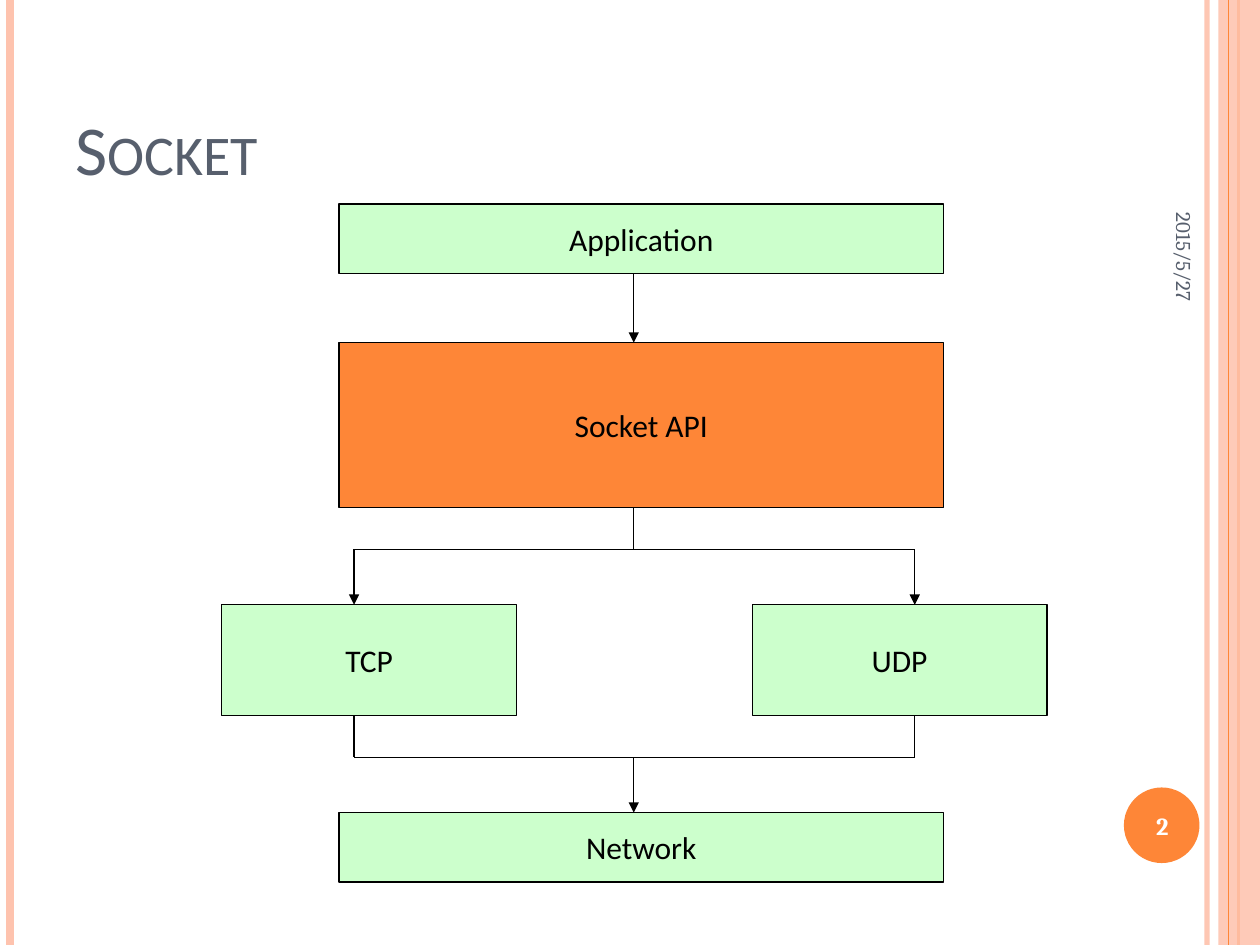
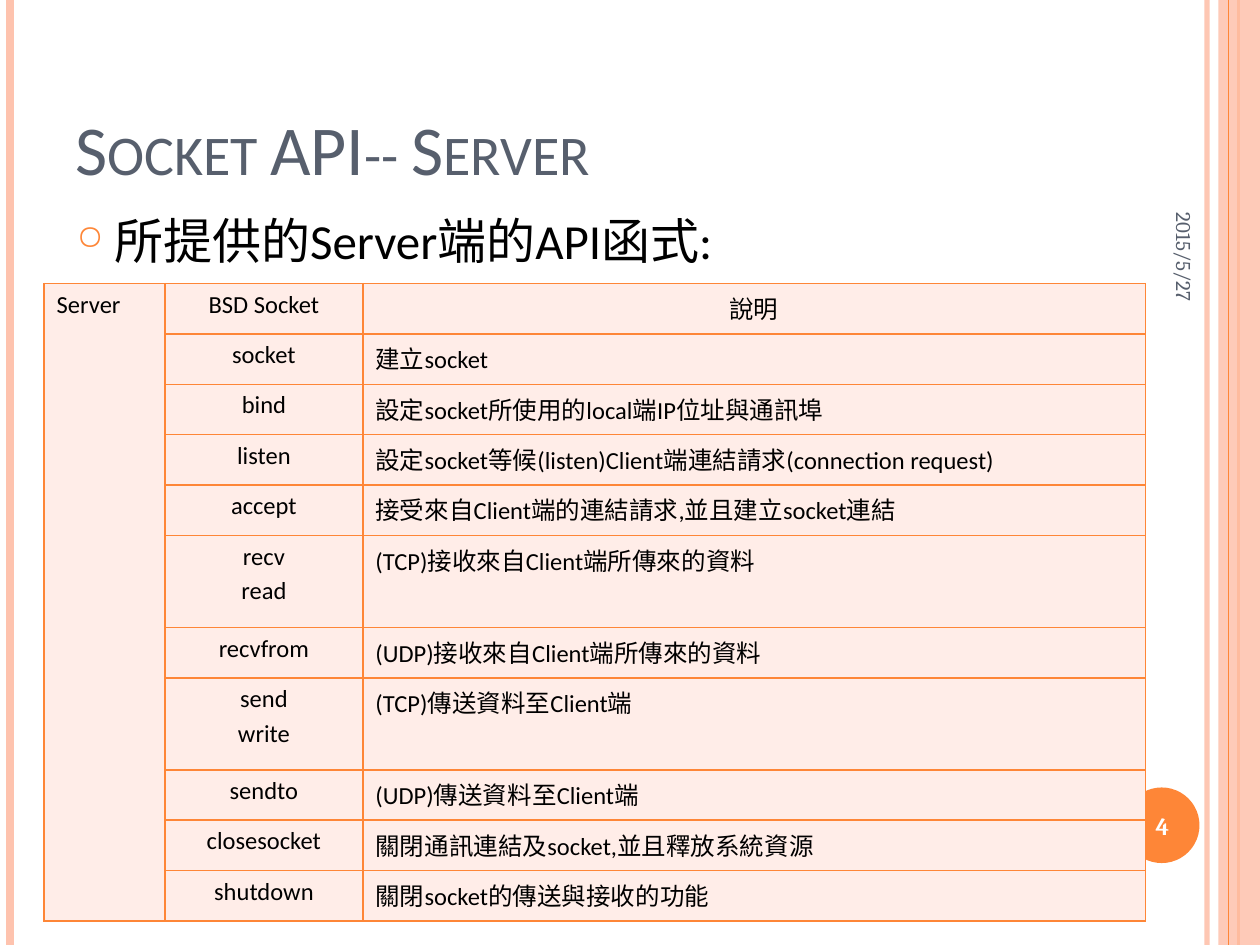
from lxml import etree
from pptx import Presentation
from pptx.dml.color import RGBColor
from pptx.enum.shapes import MSO_CONNECTOR, MSO_SHAPE
from pptx.enum.text import MSO_ANCHOR, PP_ALIGN
from pptx.oxml.ns import qn
from pptx.util import Inches, Pt

WHITE = RGBColor(0xFF, 0xFF, 0xFF)
BLACK = RGBColor(0x00, 0x00, 0x00)
ORANGE = RGBColor(0xFE, 0x86, 0x37)
PEACH = RGBColor(0xFE, 0xC3, 0xAE)
PALE_PEACH = RGBColor(0xFF, 0xED, 0xE8)
GREEN = RGBColor(0xCC, 0xFF, 0xCC)
SLATE = RGBColor(0x57, 0x5F, 0x6D)
BODY_FONT, FOOTER_FONT = "Calibri", "Cambria"
RECT, OVAL = MSO_SHAPE.RECTANGLE, MSO_SHAPE.OVAL
STRAIGHT = MSO_CONNECTOR.STRAIGHT
LEFT, CENTER, RIGHT = PP_ALIGN.LEFT, PP_ALIGN.CENTER, PP_ALIGN.RIGHT
TOP, MIDDLE, BOTTOM = MSO_ANCHOR.TOP, MSO_ANCHOR.MIDDLE, MSO_ANCHOR.BOTTOM
WIDTH, HEIGHT = 10, 7.5
DATE = "2015/5/27"


def child(parent, tag, **attrs):
    """Append a DrawingML element and return it."""
    return etree.SubElement(parent, qn(tag), attrs)


def set_opacity(sp, percent):
    """Make the first solid colour of a shape or line translucent."""
    color = next(sp.element.spPr.iter(qn("a:srgbClr")))
    child(color, "a:alpha", val=str(percent * 1000))


class Deck:
    """The presentation style and the slide being built."""

    def __init__(self):
        """Start an empty 4:3 presentation."""
        self.prs = Presentation()
        self.prs.slide_width = Inches(WIDTH)
        self.prs.slide_height = Inches(HEIGHT)
        self.s = None

    def add_slide(self, title):
        """Start a slide with the side bands, number disc and title."""
        self.s = self.prs.slides.add_slide(self.prs.slide_layouts[6])
        inner = self.vertical_band(9.58, PEACH, 3)
        set_opacity(inner, 93)
        self.vertical_band(0.08, PEACH, 4.5)
        self.vertical_band(9.83, ORANGE, 1.5)
        band = self.shape(RECT, 9.67, 0, 0.33, HEIGHT, PEACH)
        set_opacity(band, 87)
        self.vertical_band(9.75, ORANGE, 0.75)
        self.shape(OVAL, 8.92, 6.25, 0.6, 0.6, ORANGE)
        sp = self.text(title, 0.5, 0.3, 8.17, 1.25, 40, SLATE, BOTTOM)
        r = sp.text_frame.paragraphs[0].runs[0]
        r._r.get_or_add_rPr().set("cap", "small")

    def vertical_band(self, x, color, weight):
        """Draw a full-height line."""
        return self.line(x, 0, x, HEIGHT, color, weight)

    def line(self, x1, y1, x2, y2, color=BLACK, weight=0.75, arrow=False):
        """Draw a straight line, with an arrowhead at its end if wanted."""
        ends = [Inches(v) for v in (x1, y1, x2, y2)]
        c = self.s.shapes.add_connector(STRAIGHT, *ends)
        c.line.color.rgb = color
        c.line.width = Pt(weight)
        spPr = c.element.spPr
        if arrow:
            child(spPr.find(qn("a:ln")), "a:tailEnd", type="triangle")
        child(spPr, "a:effectLst")
        return c

    def shape(self, kind, x, y, w, h, fill):
        """Draw a plain filled shape without outline."""
        box = [Inches(v) for v in (x, y, w, h)]
        sp = self.s.shapes.add_shape(kind, *box)
        sp.shadow.inherit = False
        sp.fill.solid()
        sp.fill.fore_color.rgb = fill
        sp.line.fill.background()
        return sp

    def node(self, label, x, y, w, h, fill=GREEN):
        """Draw an outlined diagram box with a centred label."""
        sp = self.shape(RECT, x, y, w, h, fill)
        sp.line.color.rgb = BLACK
        sp.line.width = Pt(0.75)
        tf = sp.text_frame
        tf.word_wrap = False
        tf.vertical_anchor = MIDDLE
        self.set_text(tf, label, 18, BLACK, align=CENTER)

    def set_text(self, tf, text, size, color, font=BODY_FONT, align=LEFT,
                 bold=False, before=0):
        """Fill a text frame and format its paragraphs and runs."""
        tf.text = text
        for p in tf.paragraphs:
            p.alignment = align
            p.space_before = Pt(before)
            for r in p.runs:
                r.font.name = font
                r.font.size = Pt(size)
                r.font.color.rgb = color
                r.font.bold = bold

    def text(self, text, x, y, w, h, size, color, anchor=TOP, **style):
        """Add a wrapping text box."""
        box = [Inches(v) for v in (x, y, w, h)]
        sp = self.s.shapes.add_textbox(*box)
        tf = sp.text_frame
        tf.word_wrap = True
        tf.vertical_anchor = anchor
        self.set_text(tf, text, size, color, **style)
        return sp

    def bullet(self, text):
        """Add the body text with its ring bullet."""
        sp = self.text(text, 0.51, 1.62, 8.17, 5.33, 28, BLACK, before=6)
        pPr = sp.text_frame.paragraphs[0]._p.get_or_add_pPr()
        pPr.set("marL", str(Inches(0.3)))
        pPr.set("indent", str(-Inches(0.3)))
        child(child(pPr, "a:buClr"), "a:srgbClr", val=str(ORANGE))
        child(pPr, "a:buSzPct", val="70000")
        child(pPr, "a:buChar", char="○")

    def cell(self, cell, text, align):
        """Border, fill and letter one table cell."""
        tcPr = cell._tc.get_or_add_tcPr()
        for side in ("a:lnL", "a:lnR", "a:lnT", "a:lnB"):
            ln = child(tcPr, side, w=str(Pt(1)))
            child(child(ln, "a:solidFill"), "a:srgbClr", val=str(ORANGE))
        cell.fill.solid()
        cell.fill.fore_color.rgb = PALE_PEACH
        self.set_text(cell.text_frame, text, 14, BLACK, align=align,
                      before=2.8)

    def api_table(self, side, rows, x, y, widths):
        """Add a function table whose first column is one merged cell."""
        heights = [0.73 if "\n" in name else 0.4 for name, _ in rows]
        frame = self.s.shapes.add_table(
            len(rows), len(widths), Inches(x), Inches(y),
            Inches(sum(widths)), Inches(sum(heights)))
        table = frame.table
        table.first_row = table.horz_banding = False
        for col, w in zip(table.columns, widths):
            col.width = Inches(w)
        for i, (name, note) in enumerate(rows):
            table.rows[i].height = Inches(heights[i])
            self.cell(table.cell(i, 0), "" if i else side, LEFT)
            self.cell(table.cell(i, 1), name, CENTER)
            self.cell(table.cell(i, 2), note, LEFT if i else CENTER)
        table.cell(0, 0).merge(table.cell(len(rows) - 1, 0))

    def footer(self, number):
        """Add the turned date and the slide number."""
        date = self.text(DATE, 8.3, 1.18, 2.2, 0.42, 12, SLATE, MIDDLE,
                         font=FOOTER_FONT, align=RIGHT)
        date.rotation = 90
        self.text(str(number), 8.89, 6.27, 0.67, 0.57, 14, WHITE, MIDDLE,
                  font=FOOTER_FONT, align=CENTER, bold=True)


def socket_slide(deck):
    """Build the diagram of the socket layers."""
    deck.add_slide("Socket")
    wide_x, wide_w = 2.69, 4.8
    deck.node("Application", wide_x, 1.62, wide_w, 0.55)
    deck.node("Socket API", wide_x, 2.72, wide_w, 1.31, ORANGE)
    for label, x in (("TCP", 1.76), ("UDP", 5.97)):
        deck.node(label, x, 4.8, 2.34, 0.88)
    deck.node("Network", wide_x, 6.45, wide_w, 0.55)

    axis, branches = 5.03, (2.81, 7.26)
    split_y, join_y = 4.36, 6.01
    deck.line(axis, 2.17, axis, 2.72, arrow=True)
    deck.line(axis, 4.03, axis, split_y)
    for y in (split_y, join_y):
        deck.line(branches[0], y, branches[1], y)
    for x in branches:
        deck.line(x, split_y, x, 4.8, arrow=True)
        deck.line(x, 5.68, x, join_y)
    deck.line(axis, join_y, axis, 6.45, arrow=True)
    deck.footer(2)


SERVER_API = [
    ("BSD Socket", "說明"),
    ("socket", "建立socket"),
    ("bind", "設定socket所使用的local端IP位址與通訊埠"),
    ("listen", "設定socket等候(listen)Client端連結請求(connection request)"),
    ("accept", "接受來自Client端的連結請求,並且建立socket連結"),
    ("recv\nread", "(TCP)接收來自Client端所傳來的資料"),
    ("recvfrom", "(UDP)接收來自Client端所傳來的資料"),
    ("send\nwrite", "(TCP)傳送資料至Client端"),
    ("sendto", "(UDP)傳送資料至Client端"),
    ("closesocket", "關閉通訊連結及socket,並且釋放系統資源"),
    ("shutdown", "關閉socket的傳送與接收的功能"),
]


def server_slide(deck):
    """Build the table of server functions."""
    deck.add_slide("Socket API-- Server")
    deck.bullet("所提供的Server端的API函式:")
    deck.api_table("Server", SERVER_API, 0.35, 2.25, (0.96, 1.57, 6.21))
    deck.footer(4)


deck = Deck()
socket_slide(deck)
server_slide(deck)
deck.prs.save("out.pptx")
